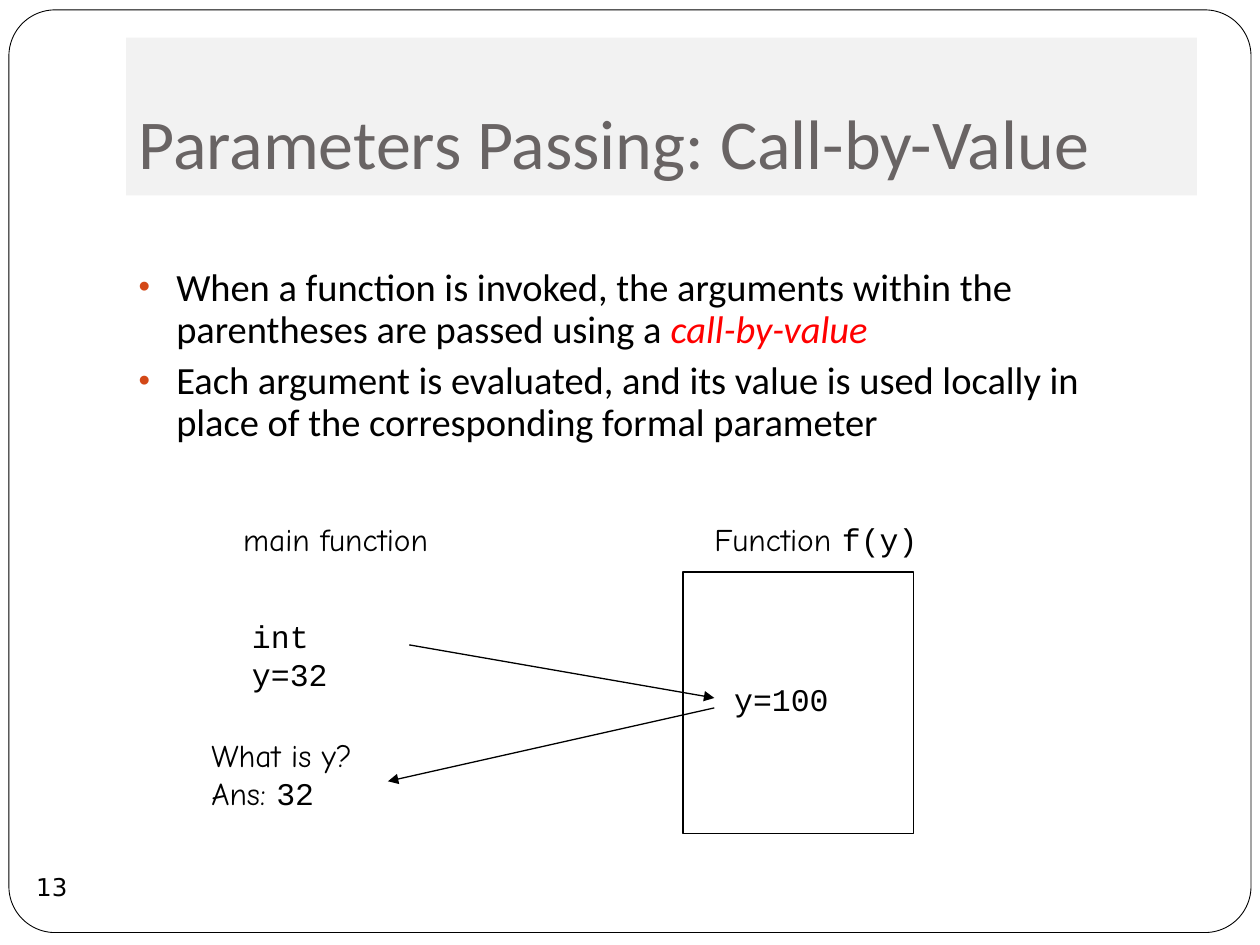
import lxml.etree
import pptx
import pptx.dml.color
import pptx.enum.shapes
import pptx.enum.text
import pptx.oxml
import pptx.oxml.ns
import pptx.util

Cm = pptx.util.Cm
Pt = pptx.util.Pt
SHAPES = pptx.enum.shapes.MSO_SHAPE
ANCHOR = pptx.enum.text.MSO_ANCHOR
ALIGN = pptx.enum.text.PP_ALIGN
COLOURS = {"ink": "000000", "paper": "FFFFFF", "band": "F2F2F2",
           "title": "696464", "bullet": "D34817", "accent": "FF0000"}
SANS, HAND, CODE, NUMBER = "Calibri", "Comic Neue", "Courier New", "DejaVu Sans"


def rgb(name):
    """Return the named colour."""
    return pptx.dml.color.RGBColor.from_string(COLOURS[name])


def style(font, name, size, colour="ink"):
    """Set the face, size and colour of a font."""
    font.name, font.size = name, Pt(size)
    font.color.rgb = rgb(colour)


def add_child(parent, tag, **attributes):
    """Append a drawing element and return it."""
    child = lxml.etree.SubElement(parent, pptx.oxml.ns.qn(tag))
    for key, value in attributes.items():
        child.set(key, value)
    return child


def place(shape, box):
    """Move a shape to a box given in centimetres."""
    shape.left, shape.top, shape.width, shape.height = map(Cm, box)


def add_outline(page, kind, box, fill=None, weight=None):
    """Add a preset shape with optional fill and line."""
    shape = page.shapes.add_shape(kind, *map(Cm, box))
    shape.shadow.inherit = False
    if fill:
        shape.fill.solid()
        shape.fill.fore_color.rgb = rgb(fill)
    else:
        shape.fill.background()
    if weight:
        shape.line.color.rgb = rgb("ink")
        shape.line.width = Pt(weight)
    else:
        shape.line.fill.background()
    return shape


def add_label(page, box, lines, wrap=False):
    """Add a text box whose lines are lists of (text, font) spans."""
    frame = page.shapes.add_textbox(*map(Cm, box)).text_frame
    frame.word_wrap = wrap
    for index, spans in enumerate(lines):
        para = frame.add_paragraph() if index else frame.paragraphs[0]
        style(para.font, spans[0][1], 18)
        for text, face in spans:
            span = para.add_run()
            span.text = text
            style(span.font, face, 18)


def add_arrow(page, start, end):
    """Add a thin line with a triangular head at its end."""
    arrow = page.shapes.add_connector(
        pptx.enum.shapes.MSO_CONNECTOR.STRAIGHT, *map(Cm, (*start, *end)))
    arrow.line.color.rgb = rgb("ink")
    arrow.line.width = Pt(0.75)
    add_child(arrow.line._get_or_add_ln(), "a:tailEnd", type="triangle")
    add_child(arrow._element.spPr, "a:effectLst")


def build_border(page, box):
    """Put the rounded page border behind everything else."""
    border = add_outline(page, SHAPES.ROUNDED_RECTANGLE, box, "paper", 0.5)
    border.adjustments[0] = 0.05
    page.shapes._spTree.insert(2, border._element)


def build_title(page, box):
    """Fill the title placeholder and its grey band."""
    title = page.shapes.title
    place(title, box)
    title.fill.solid()
    title.fill.fore_color.rgb = rgb("band")
    frame = title.text_frame
    frame.text = "Parameters Passing: Call-by-Value"
    frame.auto_size = pptx.enum.text.MSO_AUTO_SIZE.NONE
    frame.vertical_anchor = ANCHOR.BOTTOM
    frame.margin_bottom = Cm(0.25)
    para = frame.paragraphs[0]
    para.alignment = ALIGN.LEFT
    style(para.font, SANS, 40, "title")


def build_body(page, box):
    """Fill the body placeholder with the bulleted list."""
    body = page.placeholders[1]
    place(body, box)
    frame = body.text_frame
    frame.auto_size = pptx.enum.text.MSO_AUTO_SIZE.NONE
    items = [
        ("When a function is invoked, the arguments within the parentheses "
         "are passed using a ", "call-by-value"),
        ("Each argument is evaluated, and its value is used locally in place "
         "of the corresponding formal parameter", ""),
    ]
    for index, (text, term) in enumerate(items):
        para = frame.add_paragraph() if index else frame.paragraphs[0]
        para.line_spacing, para.space_before = 0.9, Pt(5.8)
        style(para.font, SANS, 22)
        para.add_run().text = text
        if term:
            span = para.add_run()
            span.text = term
            span.font.italic = True
            span.font.color.rgb = rgb("accent")
        properties = para._p.get_or_add_pPr()
        properties.set("marL", str(Cm(0.76)))
        properties.set("indent", str(Cm(-0.76)))
        for old in properties.findall(pptx.oxml.ns.qn("a:defRPr")):
            properties.remove(old)
            defaults = old
        colour = add_child(properties, "a:buClr")
        add_child(colour, "a:srgbClr", val=COLOURS["bullet"])
        add_child(properties, "a:buSzPct", val="85000")
        add_child(properties, "a:buChar", char="•")
        properties.append(defaults)
        for span in para.runs:
            style(span.font, SANS, 22, "accent" if span.font.italic else "ink")


def build_diagram(page, box):
    """Draw the caller, the called function and the values passed."""
    left, top = box[:2]

    def at(x, y, *size):
        return (left + x, top + y, *size)

    add_outline(page, SHAPES.RECTANGLE, at(9.76, 1.17, 4.65, 5.28), weight=0.75)
    add_label(page, at(0.64, 0, 4.52, 1.02), [[("main function", HAND)]])
    add_label(page, at(10.14, 0, 4.72, 1.02),
              [[("Function ", HAND), ("f(y)", CODE)]])
    add_label(page, at(0.82, 1.96, 3.4, 1.78), [[("int y=32", CODE)]], wrap=True)
    add_label(page, at(10.54, 3.23, 2.41, 1.02), [[("y=100", CODE)]])
    add_label(page, at(0, 4.35, 3.68, 1.78),
              [[("What is y?", HAND)], [("Ans: ", HAND), ("32", CODE)]])
    add_arrow(page, at(4.24, 2.64), at(10.39, 3.71))
    add_arrow(page, at(10.39, 3.91), at(3.81, 5.39))


def build_number(page, box):
    """Add the page number, centred in an unpainted circle."""
    frame = add_outline(page, SHAPES.OVAL, box).text_frame
    frame.margin_left = frame.margin_right = 0
    frame.margin_top = frame.margin_bottom = 0
    frame.word_wrap = False
    frame.vertical_anchor = ANCHOR.MIDDLE
    frame.text = "13"
    para = frame.paragraphs[0]
    para.alignment = ALIGN.CENTER
    style(para.font, NUMBER, 14)
    style(para.runs[0].font, NUMBER, 14)


def main():
    """Build the deck and save it."""
    deck = pptx.Presentation()
    deck.slide_width, deck.slide_height = Cm(25.4), Cm(19.05)
    page = deck.slides.add_slide(deck.slide_layouts[1])
    build_border(page, (0.18, 0.2, 25.04, 18.6))
    build_title(page, (2.54, 0.76, 21.59, 3.18))
    build_body(page, (2.54, 5.28, 21.16, 6.78))
    build_diagram(page, (4.01, 10.36, 14.86, 6.45))
    build_number(page, (0.41, 17.25, 1.27, 1.27))
    deck.save("out.pptx")


if __name__ == "__main__":
    main()
